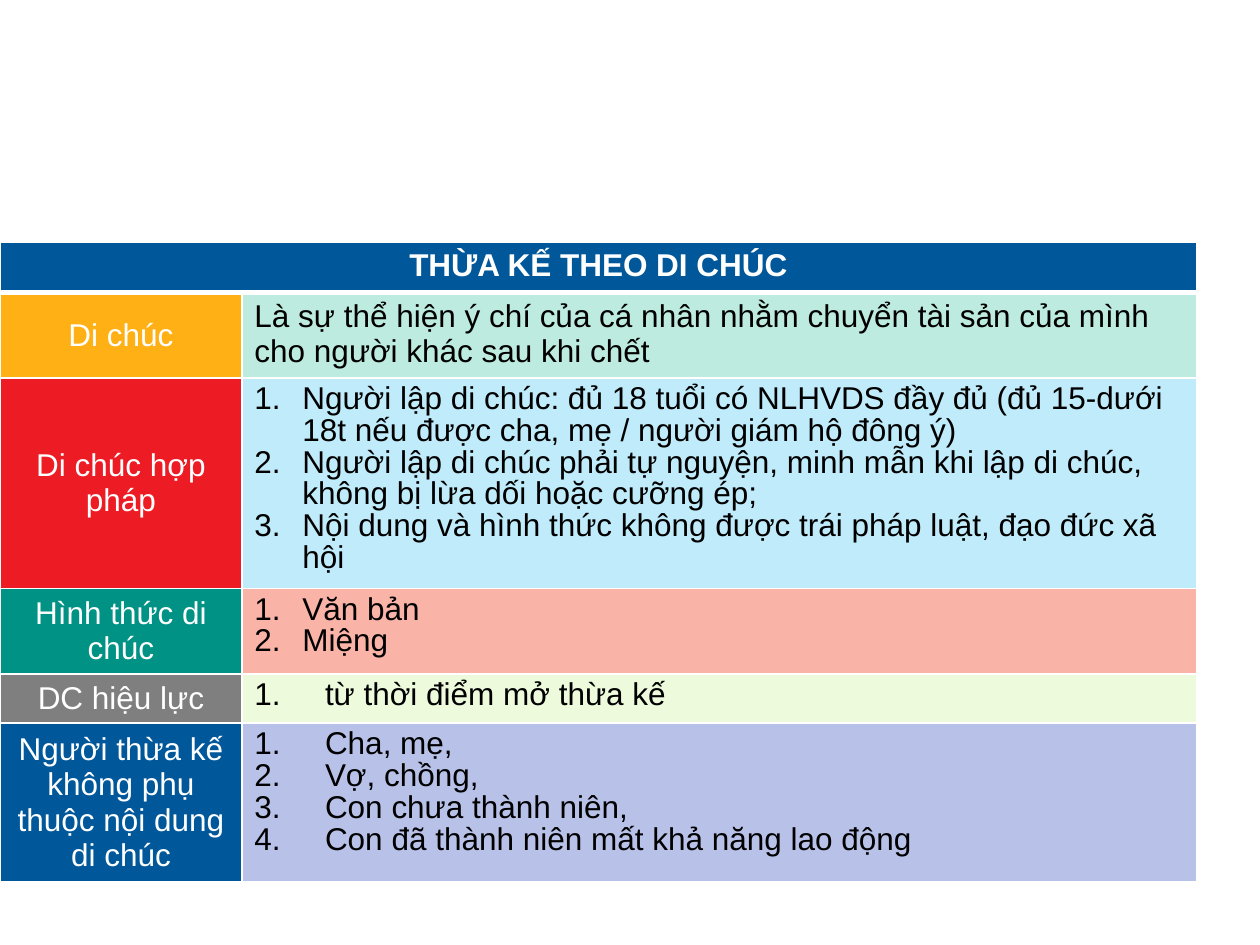
import pptx
import pptx.util
import pptx.dml.color
import pptx.enum.text
import pptx.oxml.ns
import lxml.etree

TITLE = "THỪA KẾ THEO DI CHÚC"
ROWS = [
    dict(label="Di chúc", colour="FFB014", tint="BEEBDF", height=0.68, indent=0, lines=[
        "Là sự thể hiện ý chí của cá nhân nhằm chuyển tài sản của mình cho người khác sau khi chết"]),
    dict(label="Di chúc hợp pháp", colour="ED1C24", tint="BFEBFA", height=1.67, indent=0.38, lines=[
        "Người lập di chúc: đủ 18 tuổi có NLHVDS đầy đủ (đủ 15-dưới 18t nếu được cha, mẹ / người giám hộ đông ý)",
        "Người lập di chúc phải tự nguyện, minh mẫn khi lập di chúc, không bị lừa dối hoặc cưỡng ép;",
        "Nội dung và hình thức không được trái pháp luật, đạo đức xã hội"]),
    dict(label="Hình thức di chúc", colour="009284", tint="F9B3A7", height=0.68, indent=0.38, lines=[
        "Văn bản", "Miệng"]),
    dict(label="DC hiệu lực", colour="7F7F7F", tint="EDFBDC", height=0.39, indent=0.56, lines=[
        "từ thời điểm mở thừa kế"]),
    dict(label="Người thừa kế không phụ thuộc nội dung di chúc", colour="00589A", tint="B8C2E9",
         height=1.26, indent=0.56, lines=[
             "Cha, mẹ,", "Vợ, chồng,", "Con chưa thành niên,",
             "Con đã thành niên mất khả năng lao động"]),
]
THEME = dict(font="Arial", size=18, header="00589A", light="FFFFFF", dark="000000",
             rule=1, header_rule=3, spacing=0.9)
COLUMNS = [1.92, 7.58]
HEADER_HEIGHT = 0.4
TOP = 1.92

Inches = pptx.util.Inches
Pt = pptx.util.Pt
rgb = pptx.dml.color.RGBColor.from_string
qn = pptx.oxml.ns.qn
CENTER = pptx.enum.text.PP_ALIGN.CENTER
MIDDLE = pptx.enum.text.MSO_ANCHOR.MIDDLE


def style_cell(cell, fill, top=THEME["rule"], bottom=THEME["rule"]):
    tc_pr = cell._tc.get_or_add_tcPr()
    widths = dict(lnL=THEME["rule"], lnR=THEME["rule"], lnT=top, lnB=bottom)
    for side, width in widths.items():
        line = lxml.etree.SubElement(tc_pr, qn(f"a:{side}"), w=str(Pt(width)))
        solid = lxml.etree.SubElement(line, qn("a:solidFill"))
        lxml.etree.SubElement(solid, qn("a:srgbClr"), val=THEME["light"])
    cell.fill.solid()
    cell.fill.fore_color.rgb = rgb(fill)


def write_cell(cell, lines, colour, bold=False, align=None, indent=0):
    tf = cell.text_frame
    for i, text in enumerate(lines):
        p = tf.add_paragraph() if i else tf.paragraphs[0]
        p.alignment = align
        if indent:
            p.line_spacing = THEME["spacing"]
            p_pr = p._p.get_or_add_pPr()
            p_pr.set("marL", str(Inches(indent)))
            p_pr.set("indent", str(-Inches(indent)))
            lxml.etree.SubElement(p_pr, qn("a:buFont"), typeface=THEME["font"])
            lxml.etree.SubElement(p_pr, qn("a:buAutoNum"), type="arabicPeriod")
        r = p.add_run()
        r.text = text
        for name, value in dict(name=THEME["font"], size=Pt(THEME["size"]), bold=bold).items():
            setattr(r.font, name, value)
        r.font.color.rgb = rgb(colour)


prs = pptx.Presentation()
prs.slide_width, prs.slide_height = Inches(10), Inches(7.5)
s = prs.slides.add_slide(prs.slide_layouts[6])

heights = [HEADER_HEIGHT] + [row["height"] for row in ROWS]
table = s.shapes.add_table(len(heights), len(COLUMNS), 0, Inches(TOP),
                           Inches(sum(COLUMNS)), Inches(sum(heights))).table
for column, width in zip(table.columns, COLUMNS):
    column.width = Inches(width)
for table_row, height in zip(table.rows, heights):
    table_row.height = Inches(height)

header = table.cell(0, 0)
header.merge(table.cell(0, 1))
for cell in table.rows[0].cells:
    style_cell(cell, THEME["header"], bottom=THEME["header_rule"])
write_cell(header, [TITLE], THEME["light"], bold=True, align=CENTER)

for i, row in enumerate(ROWS, 1):
    label, body = table.rows[i].cells
    top = THEME["header_rule"] if i == 1 else THEME["rule"]
    style_cell(label, row["colour"], top=top)
    style_cell(body, row["tint"], top=top)
    label.vertical_anchor = MIDDLE
    write_cell(label, [row["label"]], THEME["light"], align=CENTER)
    write_cell(body, row["lines"], THEME["dark"], indent=row["indent"])

prs.save("out.pptx")
